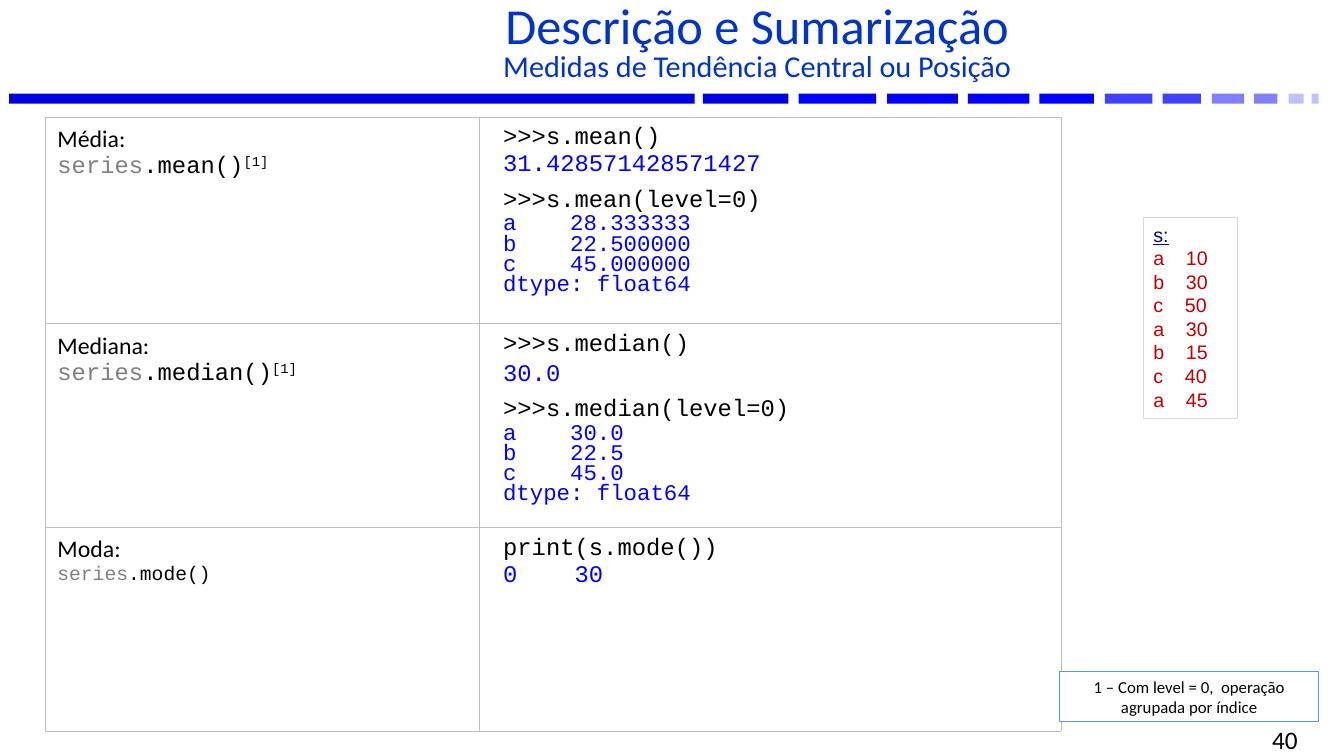
from lxml.etree import SubElement
from pptx import Presentation
from pptx.dml.color import RGBColor
from pptx.enum.shapes import MSO_SHAPE as Shape
from pptx.enum.text import MSO_ANCHOR as Anchor, PP_ALIGN as Align
from pptx.oxml.ns import qn
from pptx.util import Pt

PX = 9144  # 100 px to the inch
COLORS = {
    "title": "0033CC", "black": "000000", "white": "FFFFFF", "gray": "808080",
    "result": "0000FF", "grid": "BFBFBF", "series_line": "D9D9D9",
    "series_name": "000099", "series_value": "C00000", "note_line": "5B9BD5",
    "bar1": "0000E0", "bar2": "0000FF", "bar3": "4040FF",
    "bar4": "8080FF", "bar5": "C0C0FF",
}
SANS, CODE = "Calibri", "Courier New"

# left offset, width, colour
BAR_SEGMENTS = [
    (0, 680, "bar1"), (688, 85, "bar1"), (783, 77, "bar2"), (871, 70, "bar2"),
    (951, 61, "bar2"), (1022, 54, "bar2"), (1087, 47, "bar3"), (1144, 38, "bar3"),
    (1193, 32, "bar4"), (1235, 23, "bar4"), (1269, 15, "bar5"), (1292, 7, "bar5"),
]

# name, method, method size, reference mark, calls
# call: command, result, result line spacing, grouped result lines
MEASURES = [
    ("Média:", ".mean()", 17, "[1]", [
        (">>>s.mean()", 17, 1, ["31.428571428571427"]),
        (">>>s.mean(level=0)", 16, 0.8,
         ["a    28.333333", "b    22.500000", "c    45.000000", "dtype: float64"]),
    ]),
    ("Mediana:", ".median()", 17, "[1]", [
        (">>>s.median()", 17, 1.1, ["30.0"]),
        (">>>s.median(level=0)", 16, 0.8,
         ["a    30.0", "b    22.5", "c    45.0", "dtype: float64"]),
    ]),
    ("Moda:", ".mode()", 14, "", [("print(s.mode())", 17, 1, ["0    30"])]),
]
SERIES = ["a    10", "b    30", "c    50", "a    30", "b    15", "c    40", "a    45"]


def emu(*lengths):
    return [length * PX for length in lengths]


def rgb(name):
    return RGBColor.from_string(COLORS[name])


def style(run, size, color, name=SANS):
    run.font.size = Pt(size)
    run.font.name = name
    run.font.color.rgb = rgb(color)


def next_paragraph(text_frame):
    """Return the empty first paragraph, or add one."""
    first = text_frame.paragraphs[0]
    return text_frame.add_paragraph() if first.runs else first


def write(text_frame, text, size, color, name=SANS, align=Align.LEFT):
    paragraph = next_paragraph(text_frame)
    paragraph.text = text
    paragraph.alignment = align
    for run in paragraph.runs:
        style(run, size, color, name)
    return paragraph


def add_box(slide, box, fill=None, line=None, line_width=1):
    shape = slide.shapes.add_shape(Shape.RECTANGLE, *emu(*box))
    shape.shadow.inherit = False
    if fill:
        shape.fill.solid()
        shape.fill.fore_color.rgb = rgb(fill)
    else:
        shape.fill.background()
    if line:
        shape.line.color.rgb = rgb(line)
        shape.line.width = Pt(line_width)
    else:
        shape.line.fill.background()
    return shape


def add_text(slide, box):
    text_frame = slide.shapes.add_textbox(*emu(*box)).text_frame
    text_frame.word_wrap = True
    text_frame.vertical_anchor = Anchor.MIDDLE
    return text_frame


def add_bar(slide, left, top, height):
    for offset, width, color in BAR_SEGMENTS:
        add_box(slide, (left + offset, top, width, height), fill=color)


def add_title(slide, box):
    paragraph = write(
        add_text(slide, box),
        "Descrição e Sumarização\vMedidas de Tendência Central ou Posição",
        36, "title", align=Align.CENTER)
    paragraph.line_spacing = 0.8
    paragraph.runs[-1].font.size = Pt(21.6)


def add_page_number(slide, box):
    write(add_text(slide, box), "40", 18, "black", align=Align.RIGHT)


def add_borders(cell):
    properties = cell._tc.get_or_add_tcPr()
    for index, side in enumerate(("a:lnL", "a:lnR", "a:lnT", "a:lnB")):
        line = properties.makeelement(qn(side), {"w": str(Pt(0.25))})
        properties.insert(index, line)
        fill = SubElement(line, qn("a:solidFill"))
        SubElement(fill, qn("a:srgbClr"), val=COLORS["grid"])


def fill_measure(text_frame, name, method, size, mark):
    write(text_frame, name, 17, "black")
    paragraph = write(text_frame, "series", size, "gray", CODE)
    for text in filter(None, (method, mark)):
        run = paragraph.add_run()
        run.text = text
        style(run, size, "black", CODE)
        if text == mark:
            run.font._element.set("baseline", "30000")


def fill_calls(text_frame, calls):
    for index, (command, size, spacing, results) in enumerate(calls):
        paragraph = write(text_frame, command, 17, "black", CODE)
        if index:
            paragraph.space_before = Pt(6)
        for result in results:
            write(text_frame, result, size, "result", CODE).line_spacing = spacing


def add_measures(slide, box, column_widths, row_heights):
    frame = slide.shapes.add_table(len(row_heights), len(column_widths), *emu(*box))
    table = frame.table
    table.first_row = table.horz_banding = False
    for column, width in zip(table.columns, column_widths):
        column.width = width * PX
    for row, height, measure in zip(table.rows, row_heights, MEASURES):
        row.height = height * PX
        for cell, inset in zip(row.cells, (12, 24)):
            cell.margin_left, cell.margin_top = emu(inset, 8)
            cell.margin_right = cell.margin_bottom = 0
            cell.fill.background()
            add_borders(cell)
        *heading, calls = measure
        fill_measure(row.cells[0].text_frame, *heading)
        fill_calls(row.cells[1].text_frame, calls)


def add_series(slide, box):
    text_frame = add_box(slide, box, line="series_line", line_width=0.75).text_frame
    text_frame.vertical_anchor = Anchor.TOP
    heading = write(text_frame, "s:", 14, "series_name", "Arial")
    heading.runs[0].font.underline = True
    for value in SERIES:
        write(text_frame, value, 14, "series_value", "Arial")


def add_note(slide, box):
    text_frame = add_box(slide, box, fill="white", line="note_line").text_frame
    text_frame.word_wrap = True
    write(text_frame, "1 – Com level = 0,  operação agrupada por índice",
          12, "black", align=Align.CENTER)


def main():
    presentation = Presentation()
    presentation.slide_width, presentation.slide_height = emu(1333, 750)
    slide = presentation.slides.add_slide(presentation.slide_layouts[6])
    add_bar(slide, 9, 93, 10)
    add_title(slide, (194, 6, 1114, 77))
    add_page_number(slide, (986, 723, 311, 22))
    add_series(slide, (1134, 216, 93, 199))
    add_measures(slide, (45, 116, 1007, 609), (430, 577), (205, 202, 202))
    add_note(slide, (1051, 666, 257, 50))
    presentation.save("out.pptx")


if __name__ == "__main__":
    main()
